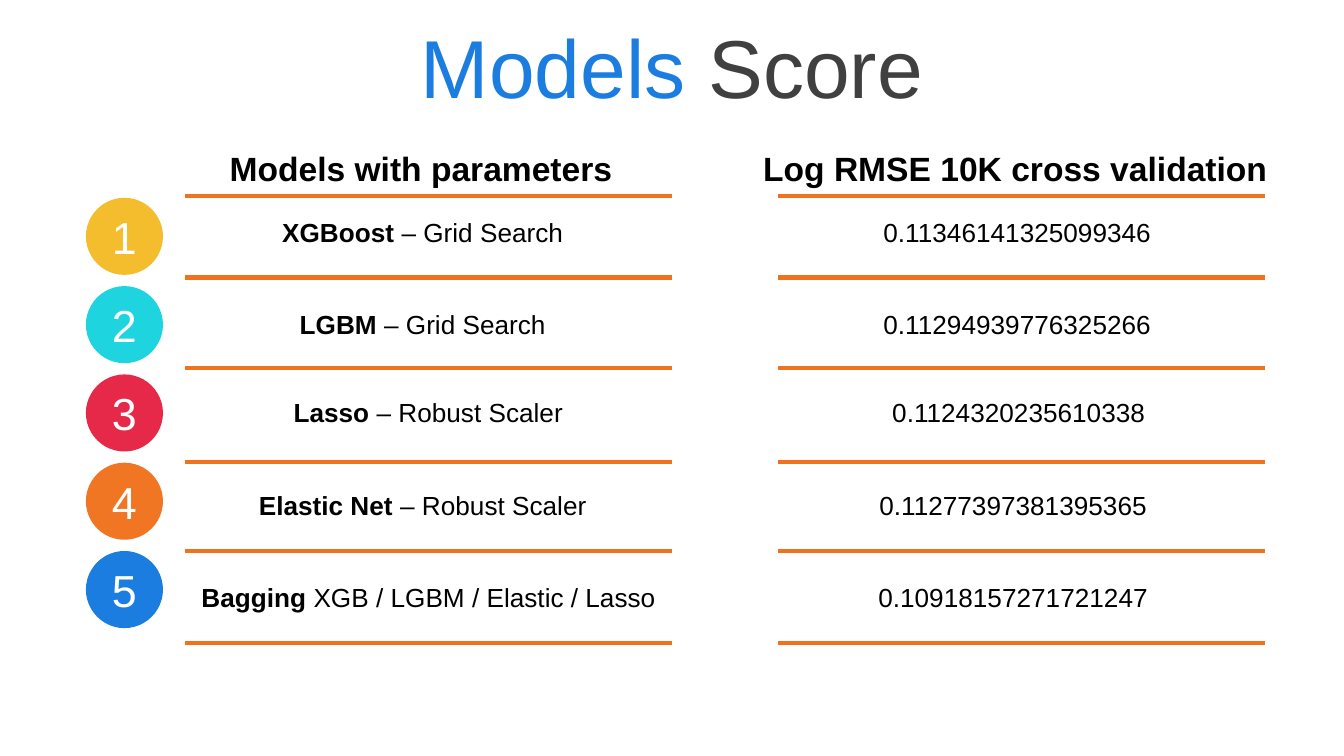
from lxml import etree
from pptx import Presentation
from pptx.dml.color import RGBColor
from pptx.enum.shapes import MSO_CONNECTOR, MSO_SHAPE
from pptx.enum.text import MSO_ANCHOR, PP_ALIGN
from pptx.oxml.ns import qn
from pptx.util import Pt

STRAIGHT = MSO_CONNECTOR.STRAIGHT
OVAL = MSO_SHAPE.OVAL
MIDDLE = MSO_ANCHOR.MIDDLE
LEFT, CENTER = PP_ALIGN.LEFT, PP_ALIGN.CENTER

BLACK, WHITE, GRAY = "000000", "FFFFFF", "404040"
BLUE, RULE_ORANGE = "1C7DE1", "F0721E"


def color(hex_string):
    return RGBColor.from_string(hex_string)


def write(shape, *runs, size, align=CENTER, anchor=None):
    """Fill the first paragraph with (text, color, bold) runs."""
    frame = shape.text_frame
    frame.word_wrap = True
    if anchor is not None:
        frame.vertical_anchor = anchor
    paragraph = frame.paragraphs[0]
    paragraph.alignment = align
    for text, hex_string, bold in runs:
        run = paragraph.add_run()
        run.text = text
        run.font.name = "Arial"
        run.font.size = Pt(size)
        run.font.bold = bold
        run.font.color.rgb = color(hex_string)


presentation = Presentation()
presentation.slide_width, presentation.slide_height = Pt(720), Pt(405)
slide = presentation.slides.add_slide(presentation.slide_layouts[5])
shapes = slide.shapes

title = shapes.title
title.left, title.top, title.width, title.height = Pt(0), Pt(0), Pt(720), Pt(70)
write(title, ("Models", BLUE, False), (" Score", GRAY, False), size=44, anchor=MIDDLE)

# Column headings
for heading, left, width in [
    ("Models with parameters", 116, 227),
    ("Log RMSE 10K cross validation", 401.8, 296),
]:
    box = shapes.add_textbox(Pt(left), Pt(75.6), Pt(width), Pt(29))
    write(box, (heading, BLACK, True), size=18, align=LEFT)

# Rules above, between and below the rows of both columns
for left in (99.3, 417):
    for top in (105, 148.7, 197.3, 247.5, 295.4, 344.3):
        rule = shapes.add_connector(STRAIGHT, Pt(left), Pt(top), Pt(left + 260.7), Pt(top))
        rule.line.color.rgb = color(RULE_ORANGE)
        rule.line.width = Pt(2.25)
        etree.SubElement(rule._element.spPr, qn("a:effectLst"))

# Circle color, model, parameters, score, text top, model left and width, score left
rows = [
    ("F4BD2D", "XGBoost", " – Grid Search", "0.11346141325099346", 112.5, 113, 227, 431.5),
    ("1ED4DE", "LGBM", " – Grid Search", "0.11294939776325266", 161.8, 113, 227, 431.5),
    ("E62949", "Lasso", " – Robust Scaler", "0.1124320235610338", 209, 116, 227, 432.3),
    ("F07624", "Elastic Net", " – Robust Scaler", "0.11277397381395365", 258.7, 113, 227, 429.3),
    (BLUE, "Bagging", " XGB / LGBM / Elastic / Lasso", "0.10918157271721247",
     307.7, 99.3, 260.7, 429.3),
]
for index, row in enumerate(rows):
    fill, model, parameters, score, top, model_left, model_width, score_left = row

    circle = shapes.add_shape(OVAL, Pt(46), Pt(106 + 47.3 * index), Pt(41.3), Pt(41.3))
    circle.shadow.inherit = False
    circle.fill.solid()
    circle.fill.fore_color.rgb = color(fill)
    circle.line.fill.background()
    frame = circle.text_frame
    frame.margin_left = frame.margin_right = frame.margin_top = frame.margin_bottom = 0
    write(circle, (str(index + 1), WHITE, False), size=24, anchor=MIDDLE)

    box = shapes.add_textbox(Pt(model_left), Pt(top), Pt(model_width), Pt(24.2))
    write(box, (model, BLACK, True), (parameters, BLACK, False), size=14)

    box = shapes.add_textbox(Pt(score_left), Pt(top), Pt(227), Pt(24.2))
    write(box, (score, BLACK, False), size=14)

presentation.save("out.pptx")
